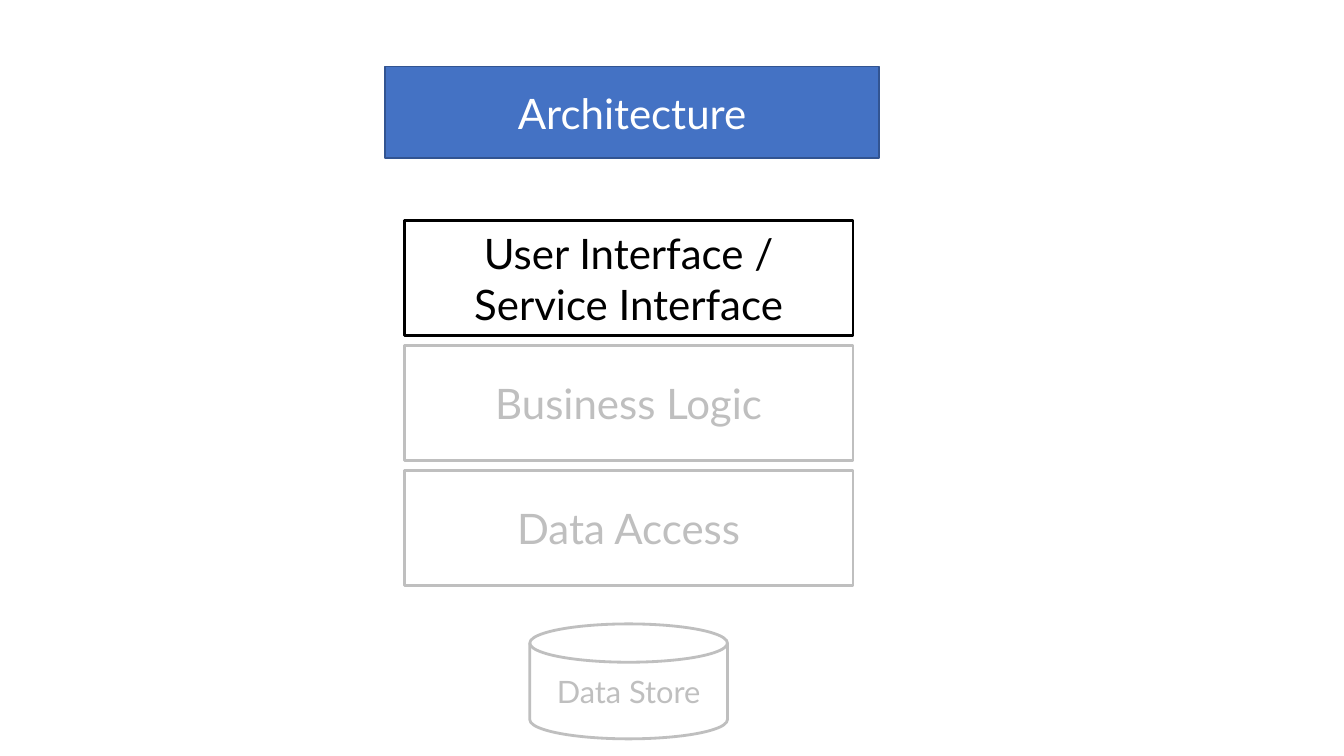
from pptx import Presentation
from pptx.dml.color import RGBColor
from pptx.enum.shapes import MSO_SHAPE
from pptx.enum.text import MSO_ANCHOR, PP_ALIGN
from pptx.util import Inches, Pt

# Content
TITLE = "Architecture"
ACTIVE, MUTED = "000000", "BFBFBF"
LAYERS = [
    ("User Interface / Service Interface", ACTIVE),
    ("Business Logic", MUTED),
    ("Data Access", MUTED),
]
STORE = "Data Store"

# Layout in inches
LAYER_LEFT, LAYER_TOP = 4.01, 2.19
LAYER_WIDTH, LAYER_HEIGHT, LAYER_GAP = 4.45, 1.14, 0.1
STORE_TOP, STORE_WIDTH = 6.19, 1.96


def rgb(value):
    return RGBColor.from_string(value)


def add_block(slide, kind, box, label, size, color, line, line_width, fill=None):
    block = slide.shapes.add_shape(kind, *(Inches(length) for length in box))
    block.shadow.inherit = False
    if fill:
        block.fill.solid()
        block.fill.fore_color.rgb = rgb(fill)
    else:
        block.fill.background()
    block.line.color.rgb = rgb(line)
    block.line.width = Pt(line_width)

    frame = block.text_frame
    frame.word_wrap = True
    frame.vertical_anchor = MSO_ANCHOR.MIDDLE
    paragraph = frame.paragraphs[0]
    paragraph.alignment = PP_ALIGN.CENTER
    run = paragraph.add_run()
    run.text = label
    run.font.name = "Lato"
    run.font.size = Pt(size)
    run.font.color.rgb = rgb(color)


def main():
    prs = Presentation()
    prs.slide_width, prs.slide_height = Inches(13.33), Inches(7.5)
    slide = prs.slides.add_slide(prs.slide_layouts[6])

    # Heading
    add_block(slide, MSO_SHAPE.RECTANGLE, (3.82, 0.66, 4.9, 0.91),
              TITLE, 30, "FFFFFF", "325491", 1, fill="4472C4")

    # Stacked layers
    for index, (layer, color) in enumerate(LAYERS):
        top = LAYER_TOP + index * (LAYER_HEIGHT + LAYER_GAP)
        add_block(slide, MSO_SHAPE.RECTANGLE,
                  (LAYER_LEFT, top, LAYER_WIDTH, LAYER_HEIGHT),
                  layer, 30, color, color, 2)

    # Data store centred below the layers
    store_left = LAYER_LEFT + (LAYER_WIDTH - STORE_WIDTH) / 2
    add_block(slide, MSO_SHAPE.FLOWCHART_MAGNETIC_DISK,
              (store_left, STORE_TOP, STORE_WIDTH, LAYER_HEIGHT),
              STORE, 22, MUTED, MUTED, 2)

    prs.save("out.pptx")


if __name__ == "__main__":
    main()
